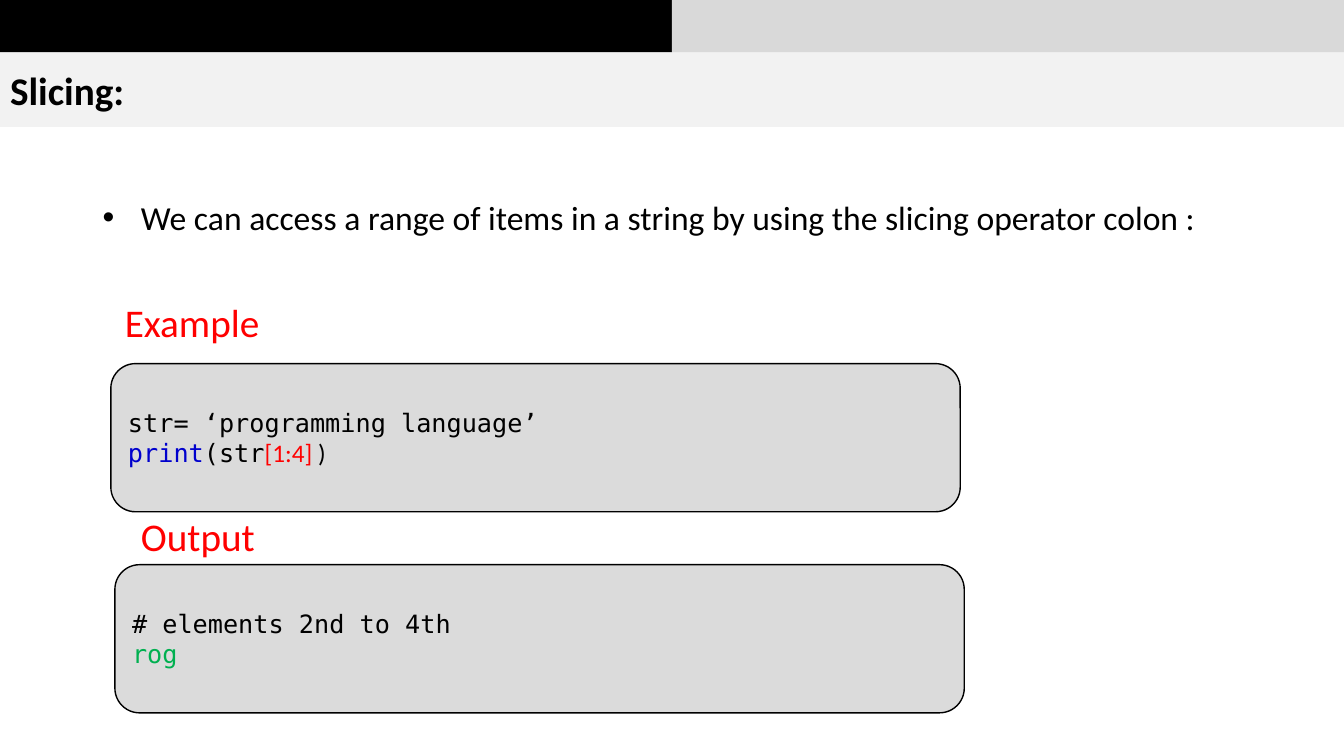
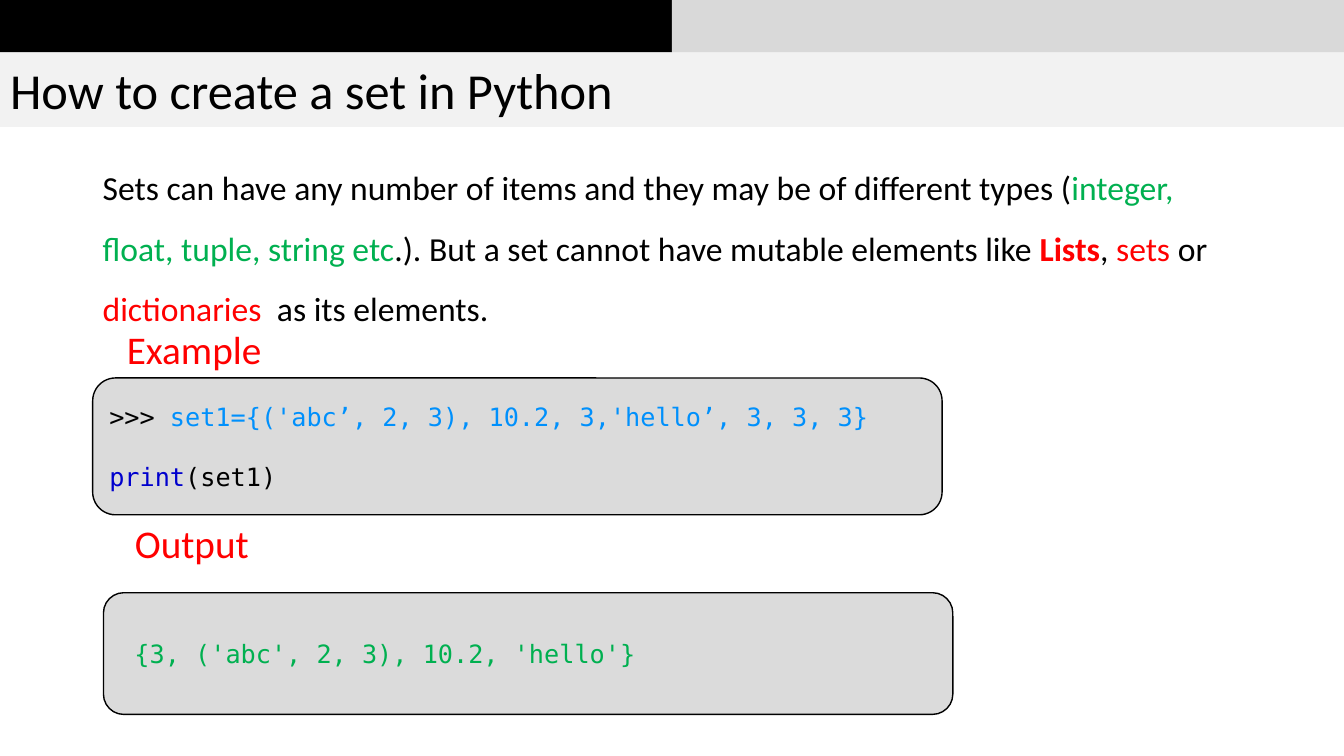
from pptx import Presentation
from pptx.dml.color import RGBColor as RGB
from pptx.enum.shapes import MSO_SHAPE as Shape
from pptx.enum.text import MSO_ANCHOR as Anchor, MSO_AUTO_SIZE as Fit, PP_ALIGN as Align
from pptx.oxml.ns import qn
from pptx.util import Inches, Pt
from lxml.etree import SubElement

WIDE, HIGH = Inches(13.33), Inches(7.5)
BLACK = RGB(0, 0, 0)
SILVER = RGB(0xD9, 0xD9, 0xD9)
PALE = RGB(0xF2, 0xF2, 0xF2)
GREY = RGB(0xDB, 0xDB, 0xDB)
RED = RGB(0xFF, 0, 0)
GREEN = RGB(0, 0xB0, 0x50)
NAVY = RGB(0, 0, 0xCD)
BLUE = RGB(0, 0x90, 0xFC)
SANS, MONO = "Calibri", "DejaVu Sans Mono"

BAND = 6.9
LEFT = 6.9
BODY = 86.25
CODE = 63.2


def place(x, y, w, h):
    return [int(side * part / 100) for side, part in zip((WIDE, HIGH, WIDE, HIGH), (x, y, w, h))]


def style(run, size, color=BLACK, face=SANS, bold=False):
    font = run.font
    font.size, font.name, font.bold = Pt(size), face, bold
    font.color.rgb = color


def write(para, parts, size, face=SANS):
    para.alignment = Align.LEFT
    for text, color, *rest in parts:
        run = para.add_run()
        run.text = text
        look = {"face": face}
        look.update(*rest)
        style(run, size, color, **look)


def block(slide, kind, spot, fill):
    shape = slide.shapes.add_shape(kind, *place(*spot))
    shape.shadow.inherit = False
    shape.fill.solid()
    shape.fill.fore_color.rgb = fill
    shape.line.fill.background()
    return shape


def start(deck, text, size, bold=False):
    slide = deck.slides.add_slide(deck.slide_layouts[5])
    for x, fill in ((0, BLACK), (50, SILVER)):
        block(slide, Shape.RECTANGLE, (x, 0, 50, BAND), fill)
    title = slide.shapes.title
    title.left, title.top, title.width, title.height = place(0, BAND, 100, 9.9)
    title.fill.solid()
    title.fill.fore_color.rgb = PALE
    frame = title.text_frame
    frame.text = text
    frame.auto_size = Fit.NONE
    frame.vertical_anchor = Anchor.MIDDLE
    para = frame.paragraphs[0]
    para.alignment = Align.LEFT
    style(para.runs[0], size, bold=bold)
    return slide


def body(slide, y, h, parts, dot=False):
    box = slide.shapes.add_textbox(*place(LEFT, y, BODY, h))
    frame = box.text_frame
    frame.word_wrap = True
    para = frame.paragraphs[0]
    para.line_spacing = 1.5
    para.space_before = Pt(10)
    write(para, parts, 24)
    if dot:
        props = para._p.get_or_add_pPr()
        props.set("marL", str(Inches(0.38)))
        props.set("indent", str(-Inches(0.38)))
        SubElement(props, qn("a:buFont")).set("typeface", "Arial")
        SubElement(props, qn("a:buChar")).set("char", "•")


def label(slide, x, y, w, text):
    box = slide.shapes.add_textbox(*place(x, y, w, 7.6))
    frame = box.text_frame
    frame.word_wrap = False
    frame.auto_size = Fit.SHAPE_TO_FIT_TEXT
    write(frame.paragraphs[0], [(text, RED)], 28)


def code(slide, x, y, h, lines, gap=0):
    box = block(slide, Shape.ROUNDED_RECTANGLE, (x, y, CODE, h), GREY)
    box.line.color.rgb = BLACK
    box.line.width = Pt(1)
    frame = box.text_frame
    frame.word_wrap = True
    frame.vertical_anchor = Anchor.MIDDLE
    for i, parts in enumerate(lines):
        para = frame.add_paragraph() if i else frame.paragraphs[0]
        para.space_before = Pt(gap if i else 0)
        write(para, parts, 18, MONO)


def slicing(deck):
    slide = start(deck, "Slicing:", 28, True)
    body(slide, 22.7, 63.5, [
        ("We can access a range of items in a string by using the slicing operator colon : ", BLACK),
    ], dot=True)
    code(slide, 8.25, 48.1, 19.6, [
        [("str= ‘programming language’", BLACK)],
        [("print", NAVY), ("(str", BLACK),
         ("[1:4] ", RED, {"face": SANS}), (")", BLACK, {"face": SANS})],
    ])
    label(slide, 8.55, 38.8, 12.3, "Example ")
    code(slide, 8.55, 74.7, 19.6, [
        [("# elements 2nd to 4th ", BLACK)],
        [("rog", GREEN)],
    ])
    label(slide, 9.75, 67.1, 10.05, "Output")


def sets(deck):
    slide = start(deck, "How to create a set in Python", 36)
    body(slide, 18.8, 67.5, [
        ("Sets can have any number of items and they may be of different types (", BLACK),
        ("integer, float, tuple, string etc", GREEN),
        (".). But a set cannot have mutable elements like\u00a0", BLACK),
        ("Lists", RED, {"bold": True}),
        (", ", BLACK),
        ("sets", RED),
        (" or\u00a0 ", BLACK),
        ("dictionaries", RED),
        (" \u00a0as its elements.", BLACK),
    ])
    code(slide, LEFT, 50, 18.1, [
        [(">>> ", BLACK), ("set1={('abc’, 2, 3), 10.2, 3,'hello’, 3, 3, 3} ", BLUE)],
        [("print", NAVY), ("(set1)", BLACK)],
    ], gap=21)
    label(slide, 8.7, 42.4, 12.3, "Example ")
    code(slide, 7.7, 78.4, 16.1, [[(" {3, ('abc', 2, 3), 10.2, 'hello'}", GREEN)]])
    label(slide, 9.3, 68.1, 10.05, "Output")


def main():
    deck = Presentation()
    deck.slide_width, deck.slide_height = WIDE, HIGH
    slicing(deck)
    sets(deck)
    deck.save("out.pptx")


main()
